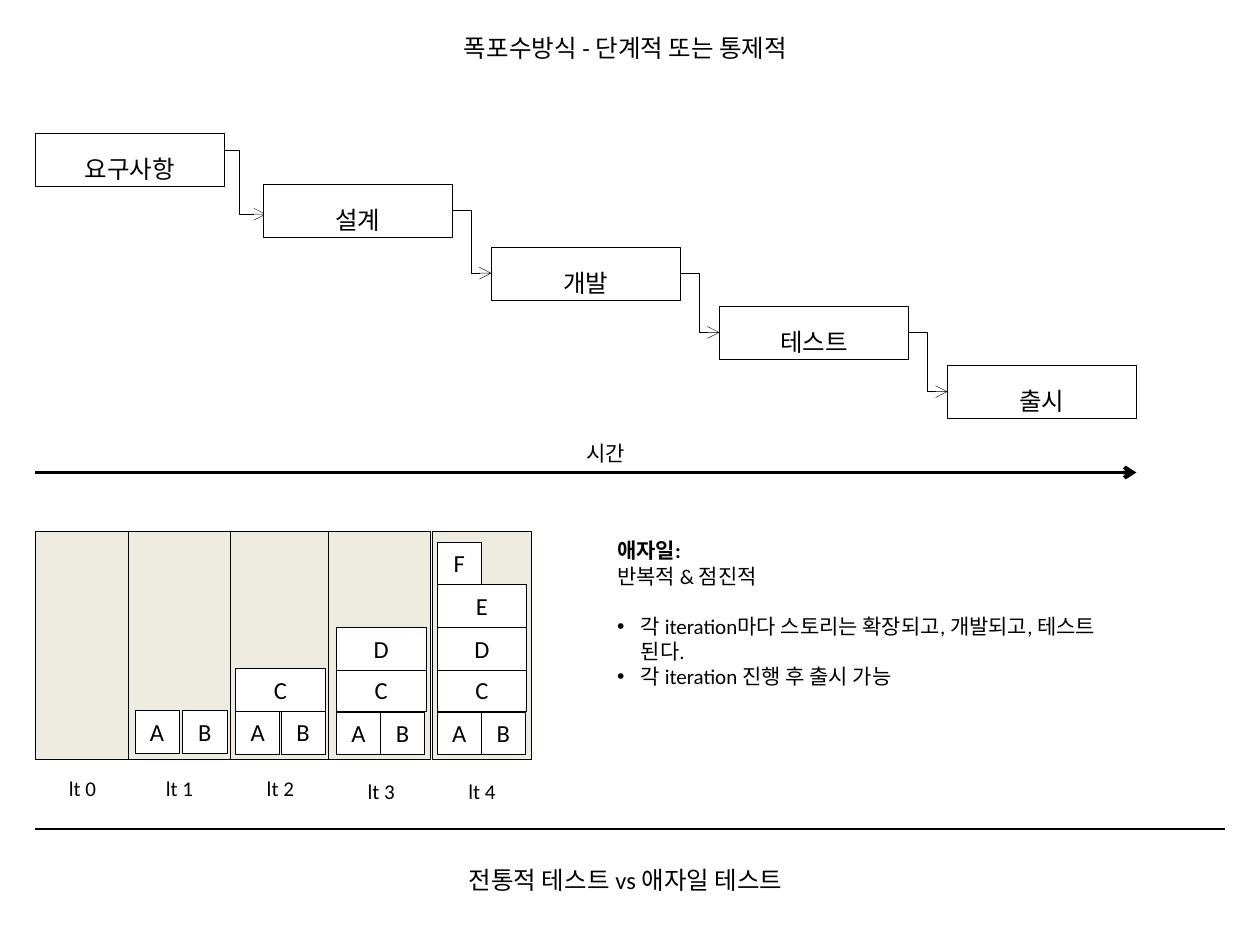
from lxml import etree
from pptx import Presentation
from pptx import util as u
from pptx.dml.color import RGBColor
from pptx.enum import shapes, text
from pptx.oxml import ns

Pt = u.Pt
BLACK = RGBColor(0x00, 0x00, 0x00)
WHITE = RGBColor(0xFF, 0xFF, 0xFF)
SAND = RGBColor(0xEE, 0xEC, 0xE1)
FONT = "Calibri"
LEFT = 20.16
STEP = 130.32
STAGES = [("요구사항", 76.3), ("설계", 105.1), ("개발", 141.1),
          ("테스트", 175), ("출시", 208.8)]
BINS = [(20.16, 54), (73.44, 58.32), (131.76, 56.88),
        (187.92, 58.32), (246.96, 56.88)]
LABELS = [(20.16, 54, 439.9), (73.44, 58.32, 439.9), (131.04, 58.32, 439.9),
          (188.64, 58.32, 441.4), (246.24, 58.32, 441.4)]
PAIRS = [(77.04, 104.4, 406.1), (134.64, 160.56, 406.4),
         (192.24, 217.44, 406.8), (249.84, 275.04, 406.8)]
LEVELS = [("C", 382, 51.12), ("D", 358.56, 51.12),
          ("E", 334.08, 51.12), ("F", 309.6, 25.2)]


def sub(node, tag, **attrs):
    return etree.SubElement(node, ns.qn(tag), attrs)


def write(frame, words, size=14, bold=False, align=text.PP_ALIGN.CENTER,
          space=None, before=0, bullet=None, first=True):
    frame.word_wrap = True
    frame.vertical_anchor = text.MSO_ANCHOR.TOP
    para = frame.paragraphs[0] if first else frame.add_paragraph()
    para.alignment = align
    para.space_before = Pt(before)
    if space:
        para.line_spacing = space
    if bullet:
        props = para._p.get_or_add_pPr()
        props.set("marL", str(Pt(13.5)))
        props.set("indent", str(-Pt(13.5)))
        sub(props, "a:buFont", typeface="Arial")
        sub(props, "a:buChar", char=bullet)
    run = para.add_run()
    run.text = words
    run.font.name = FONT
    run.font.size = Pt(size)
    run.font.bold = bold
    run.font.color.rgb = BLACK


def box(slide, x, y, w, h, fill=WHITE, width=0.25, words=None, **style):
    rect = slide.shapes.add_shape(shapes.MSO_SHAPE.RECTANGLE,
                                  Pt(x), Pt(y), Pt(w), Pt(h))
    rect.shadow.inherit = False
    rect.fill.solid()
    rect.fill.fore_color.rgb = fill
    rect.line.color.rgb = BLACK
    rect.line.width = Pt(width)
    if words:
        write(rect.text_frame, words, **style)


def label(slide, x, y, w, h, words, **style):
    area = slide.shapes.add_textbox(Pt(x), Pt(y), Pt(w), Pt(h))
    write(area.text_frame, words, **style)
    return area.text_frame


def link(slide, start, end, width, arrow=True, bend=None):
    kind = shapes.MSO_CONNECTOR.ELBOW if bend else shapes.MSO_CONNECTOR.STRAIGHT
    line = slide.shapes.add_connector(kind, *map(Pt, start + end))
    line.line.color.rgb = BLACK
    line.line.width = Pt(width)
    props = line._element.spPr
    if arrow:
        sub(props.find(ns.qn("a:ln")), "a:tailEnd", type="arrow")
    sub(props, "a:effectLst")
    if bend:
        guides = props.find(ns.qn("a:prstGeom")).find(ns.qn("a:avLst"))
        sub(guides, "a:gd", name="adj1", fmla=f"val {round(bend * 100000)}")


def draw_steps(slide):
    link(slide, (112.32, 85.7), (151.92, 122.4), 0.25, bend=0.61)
    for i in range(1, len(STAGES) - 1):
        x = LEFT + i * STEP
        start = (x + 107.5, STAGES[i][1] + 15)
        end = (x + STEP, STAGES[i + 1][1] + 15)
        link(slide, start, end, 0.25, bend=0.5)
    for i, (name, top) in enumerate(STAGES):
        box(slide, LEFT + i * STEP, top, 108, 30.24, words=name, space=1.5)
    label(slide, 326.16, 248.4, 39.6, 21.6, "시간", size=12)
    link(slide, (LEFT, 270), (649.44, 270), 2.25)


def draw_bins(slide):
    for x, w in BINS:
        box(slide, x, 303.84, w, 130.32, fill=SAND, width=0.75)
    for i, (x, mid, y) in enumerate(PAIRS):
        box(slide, x, y, 25.2, 24.48, words="A")
        box(slide, mid, y, 25.2, 24.48, words="B")
        count = len(LEVELS) if i == 3 else i
        for name, top, w in LEVELS[:count]:
            box(slide, x, top, w, 24.48, words=name)
    for i, (x, w, y) in enumerate(LABELS):
        label(slide, x, y, w, 21.6, f"lt {i}", size=12)


def draw_notes(slide):
    plain = dict(size=12, align=text.PP_ALIGN.LEFT)
    frame = label(slide, 345.6, 303.84, 303.12, 108.72, "애자일:",
                  bold=True, **plain)
    write(frame, "반복적 & 점진적", first=False, **plain)
    write(frame, "각 iteration마다 스토리는 확장되고, 개발되고, 테스트 된다.",
          before=14.4, bullet="•", first=False, **plain)
    write(frame, "각 iteration 진행 후 출시 가능",
          bullet="•", first=False, **plain)


def main():
    deck = Presentation()
    deck.slide_width, deck.slide_height = Pt(720), Pt(540)
    slide = deck.slides.add_slide(deck.slide_layouts[6])
    label(slide, 156.24, 15.12, 402.48, 24.48, "폭포수방식 - 단계적 또는 통제적")
    draw_steps(slide)
    draw_bins(slide)
    draw_notes(slide)
    link(slide, (LEFT, 473.76), (699.84, 473.76), 0.75, arrow=False)
    label(slide, 217.44, 491.04, 280.08, 24.48, "전통적 테스트 vs 애자일 테스트")
    deck.save("out.pptx")


main()
